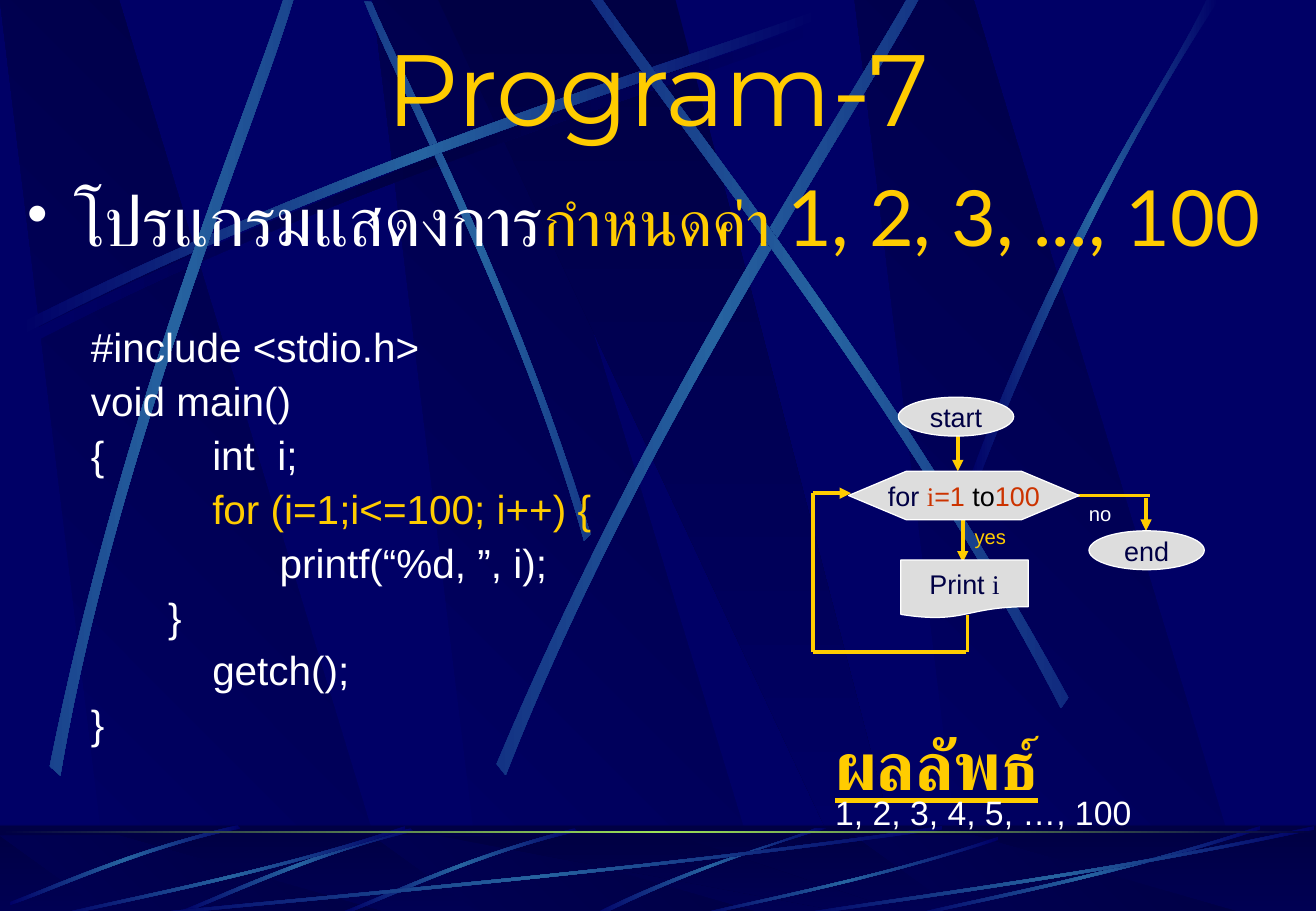
from copy import deepcopy
from dataclasses import dataclass

from lxml import etree
from pptx import Presentation
from pptx.dml.color import RGBColor
from pptx.enum.shapes import MSO_CONNECTOR, MSO_SHAPE
from pptx.enum.text import MSO_ANCHOR, MSO_AUTO_SIZE, PP_ALIGN
from pptx.oxml.ns import qn
from pptx.util import Inches, Pt

RECTANGLE, OVAL = MSO_SHAPE.RECTANGLE, MSO_SHAPE.OVAL
HEXAGON, DOCUMENT = MSO_SHAPE.HEXAGON, MSO_SHAPE.FLOWCHART_DOCUMENT
STRAIGHT = MSO_CONNECTOR.STRAIGHT
TOP, MIDDLE = MSO_ANCHOR.TOP, MSO_ANCHOR.MIDDLE
LEFT, CENTER = PP_ALIGN.LEFT, PP_ALIGN.CENTER


@dataclass(frozen=True)
class Theme:
    navy: str = "000066"
    dark: str = "000044"
    streak: str = "2663A0"
    horizon: str = "9CE157"
    gold: str = "FFCC00"
    white: str = "FFFFFF"
    black: str = "000000"
    red: str = "CC3300"
    node: str = "DDDDDD"
    sans: str = "Arial"
    serif: str = "Times New Roman"
    display: str = "Montserrat"
    body: str = "Lato"
    title_size: float = 60
    heading_size: float = 40
    code_size: float = 24
    result_size: float = 20
    node_size: float = 16
    label_size: float = 12


THEME = Theme()
WIDTH, HEIGHT = 10.84, 7.5  # the grid is one inch per column and row

# Text: a paragraph is a list of (text, format overrides)
TITLE = [[("Program-7", {})]]
TASK = [[("โปรแกรมแสดงการ", {"size": 40.8, "color": THEME.white}),
         ("กำหนดค่า ", {"size": 38.2}),
         ("1, 2, 3, ..., 100", {"size": 45.9})]]
CODE = [[("\t#include <stdio.h>", {})],
        [("\tvoid main()", {})],
        [("\t{\tint  i;", {})],
        [("\t\t", {}), ("for (i=1;i<=100; i++) {", {"color": THEME.gold})],
        [("\t\t      printf(“%d, ”, i);", {})],
        [("           }", {})],
        [("\t\tgetch();", {})],
        [("\t}", {})]]
RESULT_HEADING = [[("ผลลัพธ์", {"bold": True, "underline": True})]]
RESULT = [[("1, 2, 3, 4, 5, …, 100", {})]]

# Flowchart: (preset, box, runs), (label, box, colour), (start, end, arrow)
NODES = [
    (HEXAGON, (6.99, 3.88, 1.9, 0.4),
     [("for ", {}), ("i", {"font": THEME.serif, "color": THEME.red}),
      ("=1", {"color": THEME.red}), (" to", {"color": THEME.black}),
      ("100", {"color": THEME.red})]),
    (OVAL, (7.4, 3.27, 0.95, 0.32), [("start", {})]),
    (DOCUMENT, (7.42, 4.61, 1.05, 0.48),
     [("Print ", {}), ("i", {"font": THEME.serif})]),
    (OVAL, (8.97, 4.37, 0.95, 0.32), [("end", {})]),
]
LABELS = [("yes", (7.93, 4.27, 0.63, 0.3), THEME.gold),
          ("no", (8.87, 4.08, 0.45, 0.3), THEME.white)]
LINES = [((7.93, 4.28), (7.93, 4.63), True),
         ((7.89, 3.59), (7.89, 3.88), True),
         ((7.97, 5.06), (7.97, 5.37), False),
         ((6.7, 4.06), (7.01, 4.06), True),
         ((7.96, 5.37), (6.7, 5.37), False),
         ((6.7, 5.37), (6.7, 4.06), False),
         ((8.87, 4.08), (9.47, 4.08), False),
         ((9.44, 4.1), (9.44, 4.37), True)]

# Outlines as shares of their box; a streak is two Bézier curves of four points
BLADE = [(0, 0.96), (0.43, 0.43), (0.83, 0.15), (0.99, 0),
         (1, 0.02), (0.83, 0.19), (0.38, 0.5), (0, 1)]
HORN = [(0, 0.99), (0.4, 0.44), (0.8, 0.17), (0.95, 0),
        (1, 0), (0.52, 0.37), (0.17, 0.81), (0.03, 1)]
LEANING = [(0.28, 1), (1, 1), (0.3, 0), (0, 0)]
SPREADING = [(0, 0), (0.9, 1), (1, 1), (0.5, 0)]
FALLING, RISING = ([THEME.navy, THEME.dark], 315), ([THEME.dark, THEME.navy], 90)
PANELS = [(3.07, 3.27, LEANING, FALLING), (0, 3.27, LEANING, FALLING),
          (7.04, 3.27, LEANING, FALLING), (3.61, 3.91, SPREADING, RISING)]

# Streaks: (outline, box, rotation, flip across, flip down)
SKY_STREAKS = [
    (BLADE, (1.71, 1.27, 4.42, 1.9), 45, True, False),
    (BLADE, (0.16, 0.1, 6.59, 2.67), 0, False, False),
    (BLADE, (-1.6, 1.71, 6.08, 2.89), 311.7, False, False),
    (BLADE, (2.5, 1.6, 6.76, 3.01), 321.6, False, False),
    (BLADE, (3.5, 1.52, 6.59, 2.67), 34.8, True, False),
    (HORN, (7.99, 0, 2.05, 3.97), 0, False, False),
]
FLOOR_STREAKS = [
    (HORN, (4.86, 6.82, 1.95, 0.73), 0, False, False),
    (BLADE, (2.87, 6.73, 1.84, 0.9), 314.9, True, False),
    (BLADE, (1.52, 6.73, 1.84, 0.9), 314.9, True, False),
    (BLADE, (0.13, 6.67, 1.79, 0.92), 314.9, True, False),
    *[(BLADE, (left, 7.55 - height, width, height), 0, True, True)
      for left, width, height in ((1.08, 6.68, 0.75), (0.45, 2.89, 0.75),
                                  (5.71, 2.51, 0.66), (7.49, 2.89, 0.75),
                                  (6.5, 4.33, 0.75))],
]


def rgb(color):
    return RGBColor.from_string(color)


def inches(values):
    return [Inches(value) for value in values]


def add_xml(parent, tag, **attributes):
    return etree.SubElement(parent, qn(tag), attributes)


def paint(shape, colors, angle=0):
    """Fill with evenly spaced gradient colours that ignore shape rotation."""
    shape.shadow.inherit = False
    shape.line.fill.background()
    shape.fill.gradient()
    shape.fill.gradient_angle = (360 - angle) % 360
    gradient = shape._element.spPr.find(qn("a:gradFill"))
    gradient.set("rotWithShape", "0")
    stops = gradient.find(qn("a:gsLst"))
    for _ in colors[2:]:
        stops.append(deepcopy(stops[0]))
    for index, (stop, color) in enumerate(zip(shape.fill.gradient_stops, colors)):
        stop.color.rgb = rgb(color)
        stop.position = index / (len(colors) - 1)


def add_outline(group, points, box, across=False, down=False):
    left, top, width, height = box
    placed = [(Inches(left + width * (1 - x if across else x)),
               Inches(top + height * (1 - y if down else y))) for x, y in points]
    builder = group.shapes.build_freeform(*placed[0])
    builder.add_line_segments(placed[1:], close=True)
    return builder.convert_to_shape()


def bend(shape):
    """Turn the two long sides of a streak into Bézier curves."""
    segments = list(shape._element.spPr.iter(qn("a:lnTo")))
    for side in (segments[0:3], segments[4:7]):
        curve = etree.Element(qn("a:cubicBezTo"))
        side[0].addprevious(curve)
        for segment in side:
            curve.append(segment[0])
            segment.getparent().remove(segment)


def add_streak(group, outline, box, rotation, across, down, color=THEME.streak):
    shape = add_outline(group, outline, box, across, down)
    bend(shape)
    shape.rotation = rotation
    paint(shape, [THEME.navy, color, THEME.navy])


def add_panels(group, top, height):
    for left, width, outline, gradient in PANELS:
        paint(add_outline(group, outline, (left, top, width, height)), *gradient)


def add_band(group, top, height, colors, angle):
    band = group.shapes.add_shape(RECTANGLE, *inches((0, top, WIDTH, height)))
    paint(band, colors, angle)
    return band


def add_backdrop(slide, master):
    """Draw the backdrop as one group and put it at the back of the master."""
    master.background.fill.solid()
    master.background.fill.fore_color.rgb = rgb(THEME.navy)
    group = slide.shapes.add_group_shape()
    add_panels(group, 0, 7.52)
    add_streak(group, BLADE, (0.22, 0.18, 6.59, 2.67), 0, False, False, THEME.dark)
    for streak in SKY_STREAKS:
        add_streak(group, *streak)
    add_band(group, 6.8, 0.75, *RISING)
    add_panels(group, 6.88, 0.66)
    veil = add_band(group, 6.79, 0.75, *RISING)
    veil.fill.solid()
    veil.fill.fore_color.rgb = rgb(THEME.dark)
    add_xml(veil._element.spPr.find(".//" + qn("a:srgbClr")), "a:alpha", val="50000")
    for streak in FLOOR_STREAKS:
        add_streak(group, *streak)
    add_band(group, 6.84, 0.02, [THEME.dark, THEME.horizon, THEME.dark], 0)
    for number, properties in enumerate(group._element.iter(qn("p:cNvPr")), 100):
        properties.set("id", str(number))
    master.shapes._spTree.insert(2, group._element)


def write(shape, paragraphs, font=THEME.sans, size=THEME.node_size, color=THEME.white,
          align=LEFT, anchor=TOP, wrap=True, line_spacing=None, gap=0, hanging=0,
          bullet=False, tab_width=None):
    frame = shape.text_frame
    frame.auto_size = MSO_AUTO_SIZE.NONE
    frame.word_wrap, frame.vertical_anchor = wrap, anchor
    for index, runs in enumerate(paragraphs):
        paragraph = frame.add_paragraph() if index else frame.paragraphs[0]
        paragraph.alignment = align
        paragraph.line_spacing = line_spacing
        paragraph.space_before = Pt(gap if index else 0)
        properties = paragraph._p.get_or_add_pPr()
        if hanging:
            properties.set("marL", str(Inches(hanging)))
            properties.set("indent", str(-Inches(hanging)))
        if tab_width:
            properties.set("defTabSz", str(Inches(tab_width)))
        if bullet:
            add_xml(add_xml(properties, "a:buClr"), "a:srgbClr", val=THEME.white)
            add_xml(properties, "a:buSzPct", val="85000")
            add_xml(properties, "a:buChar", char="•")
        for text, changes in runs:
            run = paragraph.add_run()
            run.text = text
            run.font.name = changes.get("font", font)
            run.font.size = Pt(changes.get("size", size))
            run.font.color.rgb = rgb(changes.get("color", color))
            run.font.bold = changes.get("bold")
            run.font.underline = changes.get("underline")


def add_text(parent, box, paragraphs, **style):
    write(parent.shapes.add_textbox(*inches(box)), paragraphs, **style)


def fill_placeholder(placeholder, box, paragraphs, **style):
    placeholder.left, placeholder.top, placeholder.width, placeholder.height = inches(box)
    write(placeholder, paragraphs, **style)


def add_flowchart(slide):
    group = slide.shapes.add_group_shape()
    for start, end, arrow in LINES:
        line = group.shapes.add_connector(STRAIGHT, *inches(start + end))
        line.line.color.rgb = rgb(THEME.gold)
        line.line.width = Pt(2.25)
        if arrow:
            add_xml(line.line._get_or_add_ln(), "a:tailEnd", type="triangle")
        add_xml(line._element.spPr, "a:effectLst")
    for preset, box, runs in NODES:
        node = group.shapes.add_shape(preset, *inches(box))
        node.shadow.inherit = False
        node.fill.solid()
        node.fill.fore_color.rgb = rgb(THEME.node)
        node.line.color.rgb = rgb(THEME.white)
        node.line.width = Pt(0.75)
        if preset == HEXAGON:
            node.adjustments[0] = 1.19
        write(node, [runs], color=THEME.dark, align=CENTER, anchor=MIDDLE, wrap=False)
    for text, box, color in LABELS:
        add_text(group, box, [[(text, {})]], size=THEME.label_size, color=color)


def main():
    presentation = Presentation()
    presentation.slide_width, presentation.slide_height = inches((WIDTH, HEIGHT))
    slide = presentation.slides.add_slide(presentation.slide_layouts[1])
    title, body = slide.placeholders
    add_backdrop(slide, presentation.slide_master)
    fill_placeholder(title, (0, 0.16, WIDTH, 1.1), TITLE, font=THEME.display,
                     size=THEME.title_size, color=THEME.gold, align=CENTER, anchor=MIDDLE)
    fill_placeholder(body, (0.13, 1.55, 10.54, 0.87), TASK, font=THEME.body,
                     color=THEME.gold, line_spacing=0.7, hanging=0.38, bullet=True)
    add_flowchart(slide)
    add_text(slide, (0.27, 2.65, 6.09, 4.25), CODE, size=THEME.code_size,
             line_spacing=0.9, gap=6, hanging=0.38, tab_width=1)
    add_text(slide, (6.78, 5.9, 2.08, 0.77), RESULT_HEADING, font=THEME.body,
             size=THEME.heading_size, color=THEME.gold)
    add_text(slide, (6.78, 6.47, 2.98, 0.44), RESULT, size=THEME.result_size)
    presentation.save("out.pptx")


if __name__ == "__main__":
    main()
